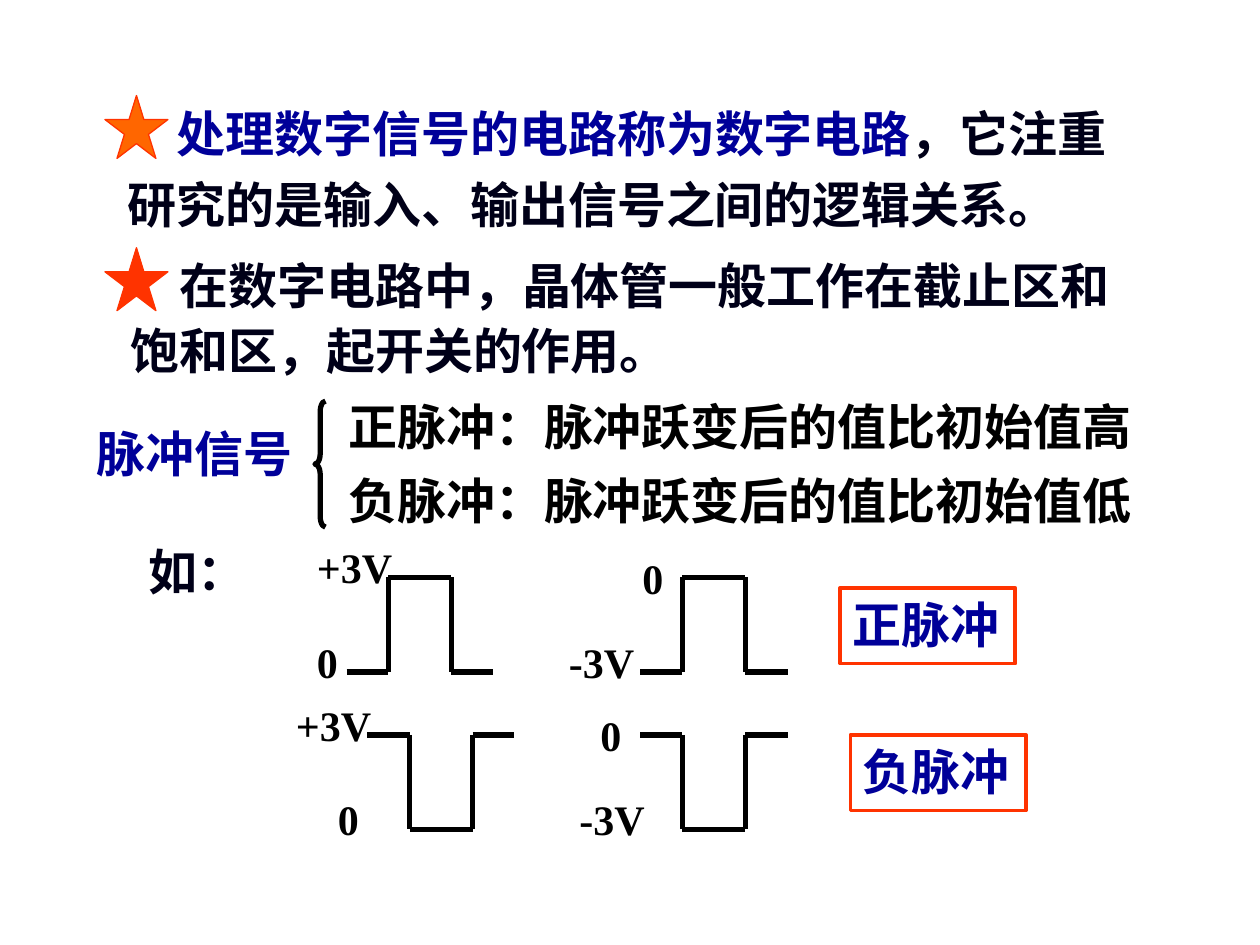
import pptx
import pptx.util
import pptx.dml.color
import pptx.enum.shapes
import pptx.enum.text
import pptx.oxml.ns
import lxml.etree

COLORS = {"ink": "000018", "black": "000000", "blue": "000099",
          "orange": "FF6600", "red": "FF3300"}
SHAPES = pptx.enum.shapes.MSO_SHAPE
ANCHOR = pptx.enum.text.MSO_ANCHOR

prs = pptx.Presentation()
prs.slide_width = pptx.util.Inches(10)
prs.slide_height = pptx.util.Inches(7.5)
s = prs.slides.add_slide(prs.slide_layouts[6])
cell = prs.slide_width / 120  # the slide is a grid of 120 columns by 90 rows


def add_box(kind, col, row, cols, rows, fill=None, line=None, width=1):
    """Add a preset shape, or a text box when kind is None."""
    at = [int(n * cell) for n in (col, row, cols, rows)]
    if kind is None:
        return s.shapes.add_textbox(*at)
    sp = s.shapes.add_shape(kind, *at)
    sp.shadow.inherit = False
    if fill:
        sp.fill.solid()
        sp.fill.fore_color.rgb = pptx.dml.color.RGBColor.from_string(COLORS[fill])
    else:
        sp.fill.background()
    sp.line.color.rgb = pptx.dml.color.RGBColor.from_string(COLORS[line])
    sp.line.width = pptx.util.Pt(width)
    return sp


def write(sp, parts, size=28, wrap=False, spacing=1.0, anchor=ANCHOR.TOP):
    """Fill a shape with one bold paragraph of (text, colour) runs."""
    tf = sp.text_frame
    tf.word_wrap = wrap
    tf.vertical_anchor = anchor
    p = tf.paragraphs[0]
    p.alignment = pptx.enum.text.PP_ALIGN.LEFT
    p.line_spacing = spacing
    for text, color in parts:
        r = p.add_run()
        r.text = text
        r.font.name = "Times New Roman"
        r.font.size = pptx.util.Pt(size)
        r.font.bold = True
        r.font.color.rgb = pptx.dml.color.RGBColor.from_string(COLORS[color])
    return p


# Starred statements, first line indented to clear the star
statements = [
    ((11, 8.2, 98.2, 14.6), 1.2, 9.1, "orange",
     [("处理数字信号的电路称为数字电路", "blue"),
      ("，它注重研究的是输入、输出信号之间的逻辑关系。", "ink")]),
    ((11.25, 23.2, 96.75, 13.5), 1.1, 23.6, "red",
     [("在数字电路中，晶体管一般工作在截止区和饱和区，起开关的作用。", "ink")]),
]
for place, spacing, star_row, star_fill, parts in statements:
    p = write(add_box(None, *place), parts, wrap=True, spacing=spacing,
              anchor=ANCHOR.MIDDLE)
    p._p.get_or_add_pPr().set("indent", str(pptx.util.Pt(28)))
    add_box(SHAPES.STAR_5_POINT, 10, star_row, 6, 6, star_fill, "red", 0.75)

# Kinds of pulse signal, joined by a brace
write(add_box(None, 8, 39.2, 21.1, 7.3), [("脉冲信号", "blue")], spacing=1.1)
brace = add_box(SHAPES.LEFT_BRACE, 30, 38.2, 1, 12, line="black", width=3)
brace.adjustments[0] = 1
for row, text in [(37.2, "正脉冲：脉冲跃变后的值比初始值高"),
                  (44.2, "负脉冲：脉冲跃变后的值比初始值低")]:
    write(add_box(None, 32, row, 77.4, 6.8), [(text, "black")])
write(add_box(None, 13, 51, 11.8, 6.8), [("如：", "ink")])

# Pulses: left column, resting row, pulsed row
pulses = [(33, 64, 55), (61, 64, 55), (35, 70, 79), (61, 70, 79)]
for left, rest, peak in pulses:
    rise, fall, right = left + 4, left + 10, left + 14
    points = [(left, rest), (rise, rest), (rise, peak),
              (fall, peak), (fall, rest), (right, rest)]
    for start, end in zip(points, points[1:]):
        ln = s.shapes.add_connector(
            pptx.enum.shapes.MSO_CONNECTOR.STRAIGHT,
            *[int(n * cell) for n in start + end])
        ln.line.color.rgb = pptx.dml.color.RGBColor.from_string(COLORS["black"])
        ln.line.width = pptx.util.Pt(3)
        lxml.etree.SubElement(ln._element.spPr, pptx.oxml.ns.qn("a:effectLst"))

# Voltage levels
levels = [("+3V", 29, 51), ("0", 29, 60), ("0", 60, 52), ("-3V", 53, 60),
          ("+3V", 27, 66), ("0", 31, 75), ("0", 56, 67), ("-3V", 54, 75)]
for text, col, row in levels:
    cols = 4 if text == "0" else 10
    write(add_box(None, col, row, cols, 6), [(text, "black")], size=24, wrap=True)

# Framed names of the two pulse kinds
for text, col, row in [("正脉冲", 80, 56), ("负脉冲", 81, 70)]:
    frame = add_box(SHAPES.RECTANGLE, col, row, 16.7, 7.2, line="red", width=2.25)
    write(frame, [(text, "blue")])

prs.save("out.pptx")
